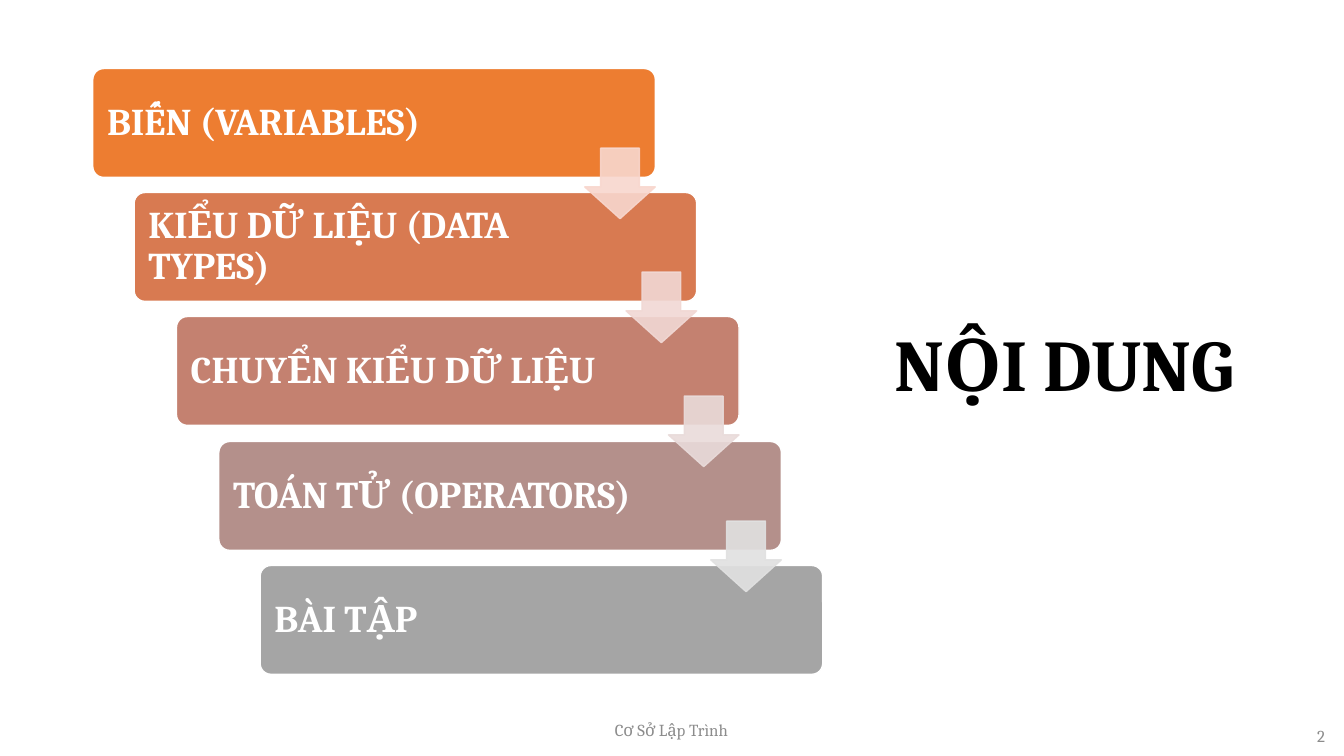
"""Build the contents slide: a staircase of five topics linked by arrows, with a title on the right."""
from lxml import etree
from pptx import Presentation
from pptx.dml.color import RGBColor
from pptx.enum.shapes import MSO_SHAPE
from pptx.enum.text import MSO_ANCHOR, MSO_AUTO_SIZE, PP_ALIGN
from pptx.oxml.ns import qn
from pptx.util import Pt

PX = 9144
FONT = "Cambria"
BLACK = RGBColor(0x00, 0x00, 0x00)
WHITE = RGBColor(0xFF, 0xFF, 0xFF)
GREY = RGBColor(0x8C, 0x8C, 0x8C)
TOPICS = [
    ("BIẾN (VARIABLES)", RGBColor(0xED, 0x7D, 0x31)),
    ("KIỂU DỮ LIỆU (DATA TYPES)", RGBColor(0xD8, 0x7A, 0x51)),
    ("CHUYỂN KIỂU DỮ LIỆU", RGBColor(0xC4, 0x81, 0x70)),
    ("TOÁN TỬ (OPERATORS)", RGBColor(0xB4, 0x90, 0x8B)),
    ("BÀI TẬP", RGBColor(0xA5, 0xA5, 0xA5)),
]
ARROWS = [
    RGBColor(0xF8, 0xD7, 0xCE),
    RGBColor(0xF1, 0xD8, 0xD4),
    RGBColor(0xE9, 0xDB, 0xDA),
    RGBColor(0xE1, 0xE1, 0xE1),
]


def write(sp, text, size, color, bold=False, align=PP_ALIGN.LEFT, spacing=1.0):
    tf = sp.text_frame
    tf.word_wrap = True
    tf.auto_size = MSO_AUTO_SIZE.NONE
    tf.vertical_anchor = MSO_ANCHOR.MIDDLE
    p = tf.paragraphs[0]
    p.alignment = align
    p.line_spacing = spacing
    r = p.add_run()
    r.text = text
    for name, value in {"name": FONT, "size": Pt(size), "bold": bold}.items():
        setattr(r.font, name, value)
    r.font.color.rgb = color


def add_block(kind, box, adjustments, fill, line):
    sp = s.shapes.add_shape(kind, *(v * PX for v in box))
    sp.shadow.inherit = False
    for i, value in enumerate(adjustments):
        sp.adjustments[i] = value
    sp.fill.solid()
    sp.fill.fore_color.rgb = fill
    sp.line.color.rgb = line
    sp.line.width = Pt(1)
    return sp


prs = Presentation()
prs.slide_width = 1333 * PX
prs.slide_height = 750 * PX
s = prs.slides.add_slide(prs.slide_layouts[5])

title = s.shapes.title
for name, value in {"left": 877, "top": 60, "width": 365, "height": 610}.items():
    setattr(title, name, value * PX)
write(title, "NỘI DUNG", 52, BLACK, bold=True, spacing=0.9)

steps = [(92 + i * 125 // 3, 68 + i * 370 // 3) for i in range(len(TOPICS))]

for (x, y), (topic, color) in zip(steps, TOPICS):
    card = add_block(MSO_SHAPE.ROUNDED_RECTANGLE, (x, y, 558, 108), [0.1], color, WHITE)
    margins = {"margin_left": 11, "margin_right": 123, "margin_top": 11, "margin_bottom": 11}
    for name, value in margins.items():
        setattr(card.text_frame, name, value * PX)
    write(card, topic, 27, WHITE, bold=True, spacing=0.9)

for (x, y), color in zip(steps, ARROWS):
    arrow = add_block(MSO_SHAPE.DOWN_ARROW, (x + 488, y + 79, 70, 70), [0.55, 0.45], color, color)
    for clr in arrow._element.spPr.iter(qn("a:srgbClr")):
        etree.SubElement(clr, qn("a:alpha")).set("val", "90000")

for text, box, align in [
    ("Cơ Sở Lập Trình", (441, 704, 450, 40), PP_ALIGN.CENTER),
    ("2", (1024, 710, 300, 40), PP_ALIGN.RIGHT),
]:
    sp = s.shapes.add_textbox(*(v * PX for v in box))
    write(sp, text, 12, GREY, align=align)

prs.save("out.pptx")
